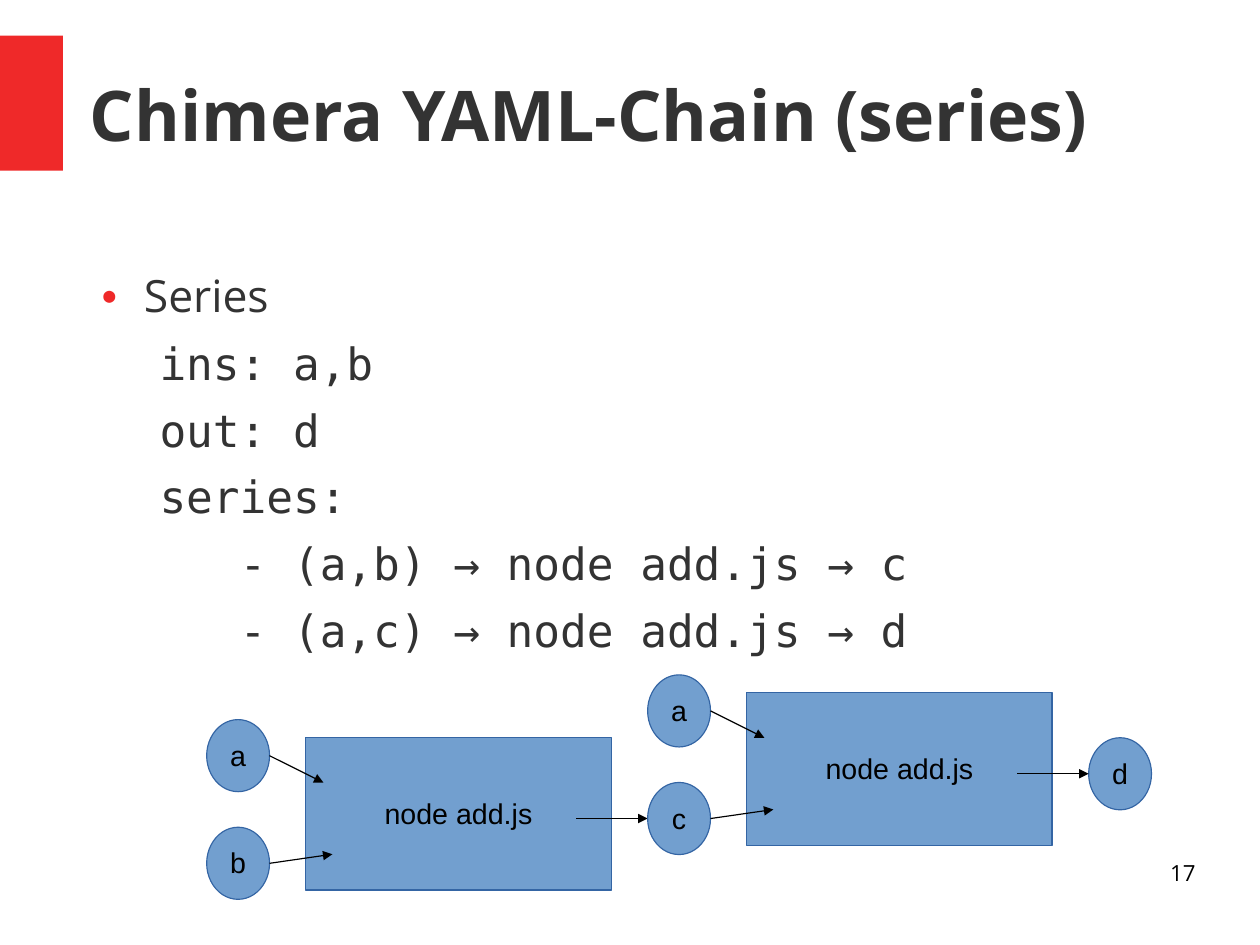
from lxml import etree
from pptx import Presentation
from pptx.dml.color import RGBColor
from pptx.enum import shapes, text
from pptx.oxml import ns
from pptx.util import Pt

RED = RGBColor(0xEF, 0x29, 0x29)
DARK = RGBColor(0x33, 0x33, 0x33)
BLACK = RGBColor(0, 0, 0)
BLUE = RGBColor(0x72, 0x9F, 0xCF)
BLUE_EDGE = RGBColor(0x34, 0x65, 0xA4)

SANS, MONO, LABEL = "Open Sans", "DejaVu Sans Mono", "Arial"
CODE = [
    "ins: a,b",
    "out: d",
    "series:",
    "   - (a,b) → node add.js → c",
    "   - (a,c) → node add.js → d",
]
VALUE_W, VALUE_H = 39.6, 45.4
VALUE_STEP = 67.8


def add_run(paragraph, words, size, font, color, bold=False):
    run = paragraph.add_run()
    run.text = words
    run.font.size = Pt(size)
    run.font.name = font
    run.font.color.rgb = color
    run.font.bold = bold


def set_margins(frame, left=0, top=0, right=0, bottom=0):
    frame.margin_left, frame.margin_top = Pt(left), Pt(top)
    frame.margin_right, frame.margin_bottom = Pt(right), Pt(bottom)


def add_frame(slide, left, top, width, height, inset_top=0):
    frame = slide.shapes.add_textbox(Pt(left), Pt(top), Pt(width), Pt(height)).text_frame
    frame.word_wrap = True
    set_margins(frame, top=inset_top)
    return frame


def set_indent(paragraph, left, first):
    props = paragraph._p.get_or_add_pPr()
    props.set("marL", str(Pt(left)))
    props.set("indent", str(Pt(first)))
    return props


def add_bullet(props):
    color = etree.SubElement(props, ns.qn("a:buClr"))
    etree.SubElement(color, ns.qn("a:srgbClr"), val=str(RED))
    etree.SubElement(props, ns.qn("a:buSzPct"), val="45000")
    etree.SubElement(props, ns.qn("a:buFont"), typeface=MONO)
    etree.SubElement(props, ns.qn("a:buChar"), char="●")


def add_title(slide, left, top, width, height):
    # Red tab on the slide edge
    tab = slide.shapes.add_shape(shapes.MSO_SHAPE.RECTANGLE, 0, Pt(top), Pt(39.6), Pt(85))
    tab.shadow.inherit = False
    tab.fill.solid()
    tab.fill.fore_color.rgb = RED
    tab.line.fill.background()

    # Heading
    frame = add_frame(slide, left, top, width, height, 1.4)
    frame.vertical_anchor = text.MSO_ANCHOR.MIDDLE
    heading = frame.paragraphs[0]
    heading.line_spacing = 0.96
    add_run(heading, "Chimera YAML-Chain (series)", 44, SANS, DARK, True)


def add_listing(slide, left, top, width, height):
    frame = add_frame(slide, left, top, width, height, 1.4)

    # Bulleted topic
    topic = frame.paragraphs[0]
    add_bullet(set_indent(topic, 34, -25.5))
    topic.line_spacing = 0.96
    topic.space_after = Pt(14.1)
    add_run(topic, "Series", 28, SANS, DARK)

    # Code lines
    for words in CODE:
        code_line = frame.add_paragraph()
        etree.SubElement(set_indent(code_line, 69.3, -25.5), ns.qn("a:buNone"))
        code_line.line_spacing = 0.83
        code_line.space_after = Pt(14.1)
        add_run(code_line, words, 28, MONO, DARK)


def add_node(parent, kind, words, left, top, width, height):
    node = parent.shapes.add_shape(kind, Pt(left), Pt(top), Pt(width), Pt(height))
    node.shadow.inherit = False
    node.fill.solid()
    node.fill.fore_color.rgb = BLUE
    node.line.color.rgb = BLUE_EDGE
    node.line.width = Pt(0.75)
    frame = node.text_frame
    frame.word_wrap = False
    frame.vertical_anchor = text.MSO_ANCHOR.MIDDLE
    set_margins(frame, 7.2, 5, 7.2, 3.6)
    label = frame.paragraphs[0]
    label.alignment = text.PP_ALIGN.CENTER
    label.line_spacing = 0.93
    add_run(label, words, 18, LABEL, BLACK)


def add_value(parent, words, left, top):
    add_node(parent, shapes.MSO_SHAPE.OVAL, words, left, top, VALUE_W, VALUE_H)


def add_arrow(parent, x1, y1, x2, y2):
    arrow = parent.shapes.add_connector(
        shapes.MSO_CONNECTOR.STRAIGHT, Pt(x1), Pt(y1), Pt(x2), Pt(y2))
    arrow.line.color.rgb = BLACK
    arrow.line.width = Pt(0.75)
    etree.SubElement(arrow.line._get_or_add_ln(), ns.qn("a:tailEnd"), type="triangle")
    etree.SubElement(arrow._element.spPr, ns.qn("a:effectLst"))


def add_stage(slide, left, top, inputs, output=None):
    stage = slide.shapes.add_group_shape()

    # Program box and its input values
    add_node(stage, shapes.MSO_SHAPE.RECTANGLE, "node add.js",
             left + 62.4, top + 11.3, 192.4, 96)
    for row, name in enumerate(inputs):
        add_value(stage, name, left, top + row * VALUE_STEP)

    # Output value, level with the output arrow
    output_left, output_top = left + 277.8, top + 39.6
    if output:
        add_value(stage, output, output_left, output_top)

    # Arrows into and out of the program
    start = left + VALUE_W
    middle = top + VALUE_H / 2
    add_arrow(stage, start, middle, start + 34, middle + 17)
    add_arrow(stage, start, middle + VALUE_STEP, start + 39.6, middle + VALUE_STEP - 5.7)
    output_y = output_top + VALUE_H / 2
    add_arrow(stage, output_left - 45, output_y, output_left, output_y)


def add_page_number(slide, left, top, width, height):
    number = add_frame(slide, left, top, width, height).paragraphs[0]
    number.alignment = text.PP_ALIGN.RIGHT
    number.line_spacing = 0.96
    add_run(number, "17", 14, SANS, BLACK)


def main():
    deck = Presentation()
    deck.slide_width, deck.slide_height = Pt(793.75), Pt(595.25)
    slide = deck.slides.add_slide(deck.slide_layouts[6])

    add_title(slide, 56.7, 22.5, 697, 102)
    add_listing(slide, 56.7, 169.6, 680.4, 345)
    # The second stage takes the first stage's output as its input c
    add_stage(slide, 130.2, 453.3, "ab")
    add_stage(slide, 408, 425.1, "ac", "d")
    add_page_number(slide, 569.2, 542.6, 184, 41)

    deck.save("out.pptx")


if __name__ == "__main__":
    main()
